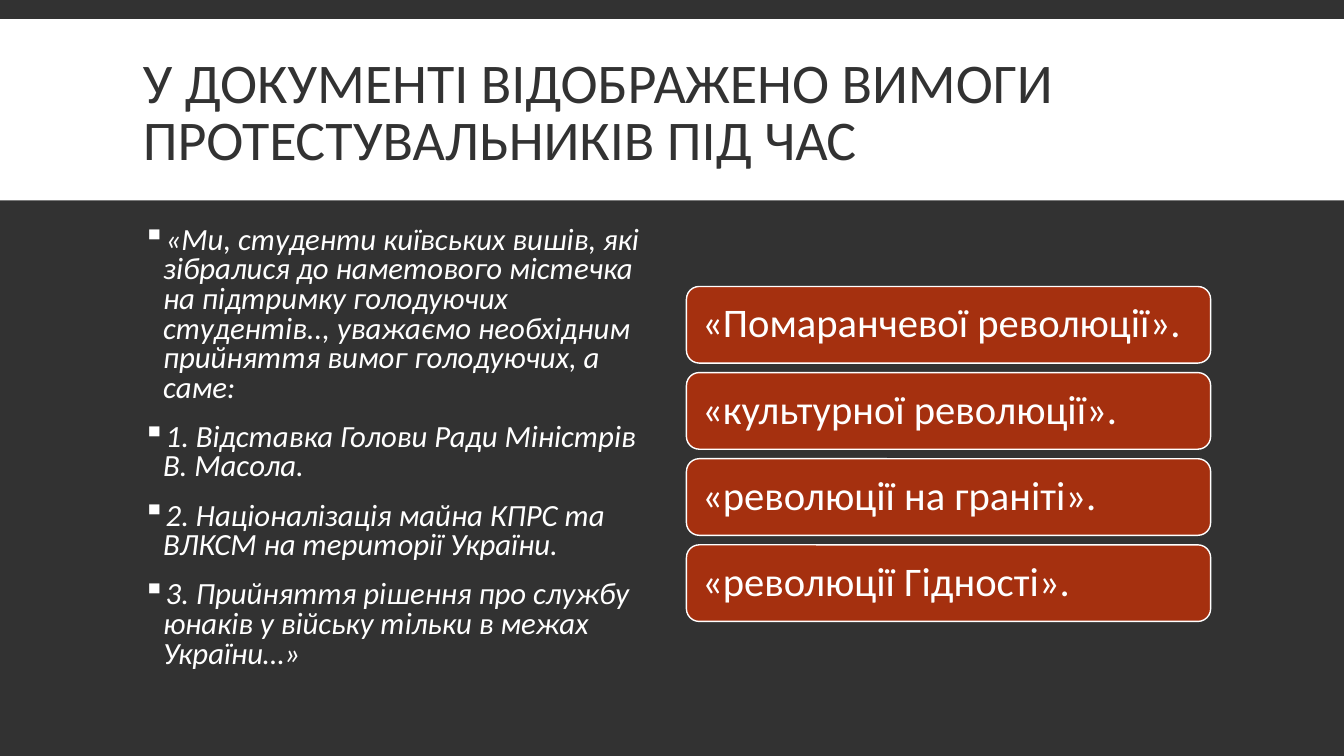
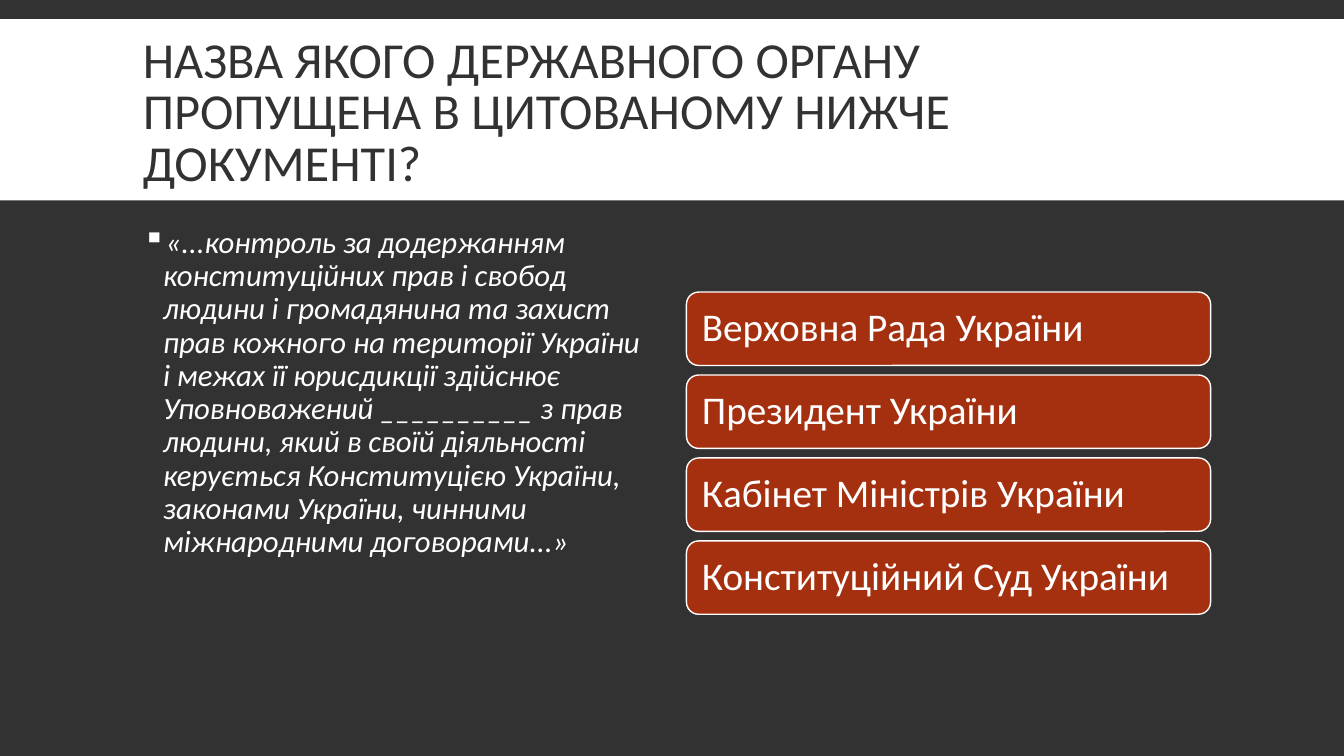
"""Builds two quiz slides: a quoted document beside four answers."""
from dataclasses import dataclass
from typing import NamedTuple

from lxml.etree import SubElement
from pptx import Presentation
from pptx.dml.color import RGBColor as Rgb
from pptx.enum.shapes import MSO_SHAPE as Shape
from pptx.enum.text import MSO_ANCHOR as Anchor, PP_ALIGN as Align
from pptx.oxml.ns import qn
from pptx.util import Cm, Pt


@dataclass(frozen=True)
class Theme:
    dark: Rgb = Rgb.from_string("323232")
    white: Rgb = Rgb.from_string("FFFFFF")
    red: Rgb = Rgb.from_string("A5300F")
    font: str = "Calibri"
    quote: float = 22


class Box(NamedTuple):
    left: float
    top: float
    width: float
    height: float

    def place(self) -> list:
        return [Cm(side) for side in self]


class Quiz(NamedTuple):
    title: str
    size: float
    quote: list[str]
    lead: float
    answers: list[str]
    text: float
    top: float
    height: float


THEME = Theme()
WIDTH, HEIGHT = 33.87, 19.05
BAND = Box(0, 0.48, WIDTH, 4.57)
TITLE = Box(3.35, 0.79, 27.18, 4.19)
QUOTE = Box(3.35, 5.59, 13.21, 11.68)
LEFT, WIDE, GAP = 17.3, 13.21, 0.24
INDENT, INSET = 0.51, 0.3

QUIZZES = [
    Quiz(
        "У ДОКУМЕНТІ ВІДОБРАЖЕНО ВИМОГИ ПРОТЕСТУВАЛЬНИКІВ ПІД ЧАС", 40,
        [
            "«Ми, студенти київських вишів, які зібралися до наметового "
            "містечка на підтримку голодуючих студентів.., уважаємо "
            "необхідним прийняття вимог голодуючих, а саме:",
            "1. Відставка Голови Ради Міністрів В. Масола.",
            "2. Націоналізація майна КПРС та ВЛКСМ на території України.",
            "3. Прийняття рішення про службу юнаків у війську тільки "
            "в межах України…»",
        ], 0.8,
        [
            "«Помаранчевої революції».",
            "«культурної революції».",
            "«революції на граніті».",
            "«революції Гідності».",
        ], 29, 7.22, 1.93,
    ),
    Quiz(
        "НАЗВА ЯКОГО ДЕРЖАВНОГО ОРГАНУ ПРОПУЩЕНА В ЦИТОВАНОМУ НИЖЧЕ "
        "ДОКУМЕНТІ?", 36,
        [
            "«...контроль за додержанням конституційних прав і свобод людини "
            "і громадянина та захист прав кожного на території України "
            "і межах її юрисдикції здійснює Уповноважений __________ з прав "
            "людини, який в своїй діяльності керується Конституцією України, "
            "законами України, чинними міжнародними договорами...»",
        ], 0.9,
        [
            "Верховна Рада України",
            "Президент України",
            "Кабінет Міністрів України",
            "Конституційний Суд України",
        ], 28, 7.36, 1.85,
    ),
]


def style(para, text: str, size: float, color: Rgb, lead: float) -> None:
    para.text = text
    para.alignment = Align.LEFT
    para.line_spacing = lead
    para.font.name = THEME.font
    para.font.size = Pt(size)
    para.font.color.rgb = color


def bullet(para) -> None:
    props = para._p.get_or_add_pPr()
    props.set("marL", str(Cm(INDENT)))
    props.set("indent", str(-Cm(INDENT)))
    color = SubElement(props, qn("a:buClr"))
    SubElement(color, qn("a:srgbClr"), val=str(THEME.white))
    SubElement(props, qn("a:buChar"), char="▪")


def block(slide, kind: Shape, box: Box, fill: Rgb):
    shape = slide.shapes.add_shape(kind, *box.place())
    shape.shadow.inherit = False
    shape.fill.solid()
    shape.fill.fore_color.rgb = fill
    shape.line.fill.background()
    return shape


def frame(slide, box: Box, anchor: Anchor):
    text = slide.shapes.add_textbox(*box.place()).text_frame
    text.word_wrap = True
    text.vertical_anchor = anchor
    return text


def head(slide, quiz: Quiz) -> None:
    block(slide, Shape.RECTANGLE, BAND, THEME.white)
    text = frame(slide, TITLE, Anchor.MIDDLE)
    style(text.paragraphs[0], quiz.title, quiz.size, THEME.dark, 0.85)


def cite(slide, quiz: Quiz) -> None:
    text = frame(slide, QUOTE, Anchor.TOP)
    for num, line in enumerate(quiz.quote):
        para = text.add_paragraph() if num else text.paragraphs[0]
        bullet(para)
        style(para, line, THEME.quote, THEME.white, quiz.lead)
        para.font.italic = True
        para.space_before = Pt(12 if num else 0)
        para.space_after = Pt(2)


def answer(slide, label: str, size: float, box: Box) -> None:
    shape = block(slide, Shape.ROUNDED_RECTANGLE, box, THEME.red)
    shape.line.color.rgb = THEME.white
    shape.line.width = Pt(1)
    text = shape.text_frame
    text.word_wrap = True
    text.vertical_anchor = Anchor.MIDDLE
    text.margin_left = text.margin_right = Cm(INSET)
    text.margin_top = text.margin_bottom = Cm(INSET)
    style(text.paragraphs[0], label, size, THEME.white, 0.9)


def main() -> None:
    deck = Presentation()
    deck.slide_width, deck.slide_height = Cm(WIDTH), Cm(HEIGHT)
    ground = deck.slide_master.background.fill
    ground.solid()
    ground.fore_color.rgb = THEME.dark
    for quiz in QUIZZES:
        slide = deck.slides.add_slide(deck.slide_layouts[6])
        head(slide, quiz)
        cite(slide, quiz)
        for row, label in enumerate(quiz.answers):
            top = quiz.top + row * (quiz.height + GAP)
            answer(slide, label, quiz.text, Box(LEFT, top, WIDE, quiz.height))
    deck.save("out.pptx")


if __name__ == "__main__":
    main()
